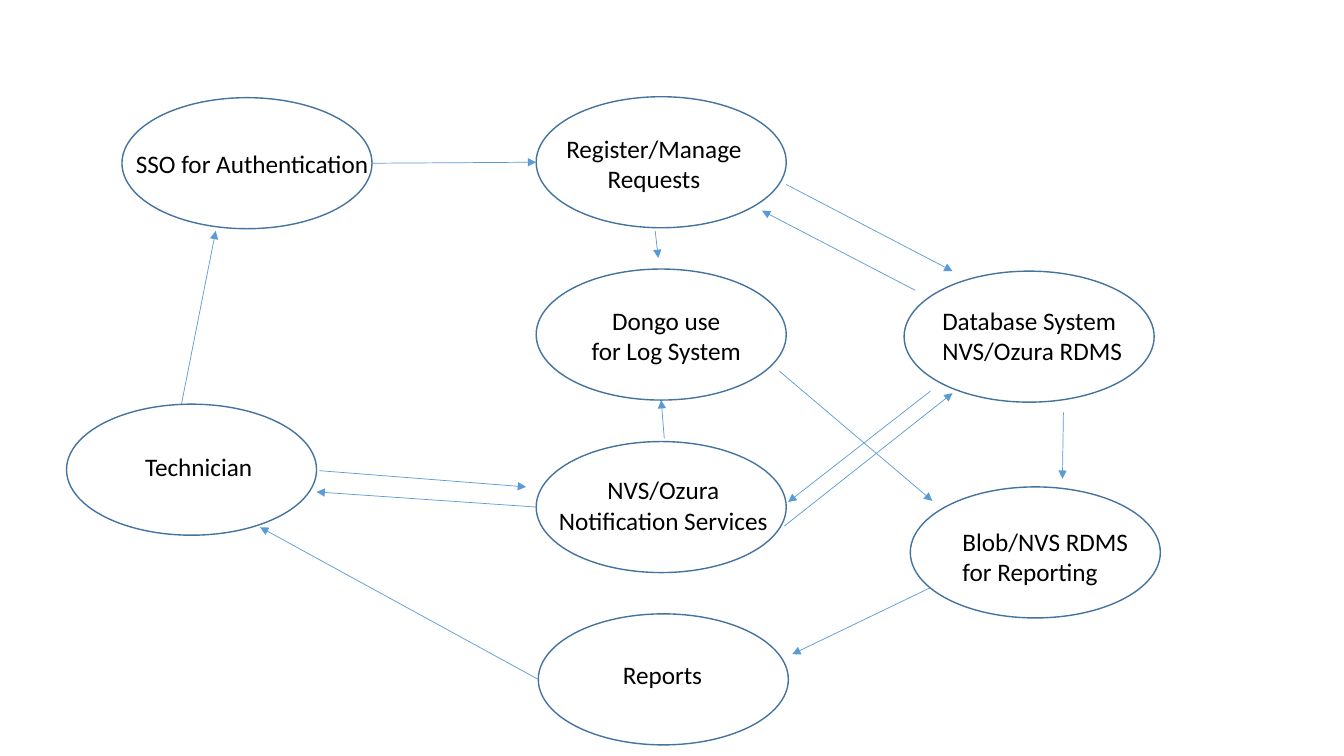
"""Builds a one-slide flow diagram of a service request system."""
from lxml import etree
from pptx import Presentation
from pptx.dml.color import RGBColor
from pptx.enum import shapes, text
from pptx.oxml.ns import qn
from pptx.util import Pt

LEFT, CENTER = text.PP_ALIGN.LEFT, text.PP_ALIGN.CENTER
OVAL_SIZE = (178.6, 93.6)
LABEL_HEIGHTS = {1: 28.8, 2: 51.1}
OVAL_LINE, ARROW_LINE, TEXT_COLOR = "43739E", "5B9BD5", "000000"

# Oval left and top, label left, top and width, then (line, alignment) pairs
STEPS = [
    ((87.1, 69.8), (90, 102.2, 182.9), [("SSO for Authentication", LEFT)]),
    ((383, 69.1), (397.4, 91.4, 145.4), [("Register/Manage", LEFT), ("Requests", CENTER)]),
    ((383, 315.4), (391, 335.5, 165.6), [("NVS/Ozura", CENTER), ("Notification Services", CENTER)]),
    ((383, 192.2), (414.7, 214.6, 122.4), [("Dongo use", CENTER), ("for Log System", CENTER)]),
    ((384.5, 438.5), (437.8, 467.3, 72), [("Reports", LEFT)]),
    ((650.2, 347.8), (680.4, 372.2, 141.8), [("Blob/NVS RDMS", LEFT), ("for Reporting", LEFT)]),
    ((645.8, 193.7), (666, 214.6, 146.9), [("Database System", LEFT), ("NVS/Ozura RDMS", LEFT)]),
    ((47.5, 288.7), (96.5, 319, 92.2), [("Technician", LEFT)]),
]

ARROWS = [
    (265.7, 116.6, 383, 115.9),
    (468, 164.9, 470.2, 184.3),
    (129.6, 288.7, 154.1, 164.9),
    (228.2, 336.2, 375.8, 347.8),
    (383, 362.2, 226.1, 351.4),
    (384.5, 485.3, 185.8, 376.6),
    (759.6, 294.5, 758.9, 342),
    (664.6, 419.8, 565.9, 467.3),
    (561.6, 131.8, 680.4, 193.7),
    (653.8, 207.4, 544.3, 150.5),
    (556.6, 265, 666, 357.8),
    (474.5, 313.2, 472.3, 285.8),
    (664.6, 279.4, 563, 358.6),
    (560.2, 375.8, 680.4, 280.8),
]


def paint(color_format, color):
    color_format.rgb = RGBColor.from_string(color)


def add_oval(slide, corner):
    shape = slide.shapes.add_shape(
        shapes.MSO_SHAPE.OVAL, *map(Pt, corner + OVAL_SIZE))
    shape.shadow.inherit = False
    shape.fill.background()
    paint(shape.line.color, OVAL_LINE)
    shape.line.width = Pt(1)


def add_label(slide, place, lines):
    height = LABEL_HEIGHTS[len(lines)]
    frame = slide.shapes.add_textbox(*map(Pt, place + (height,))).text_frame
    frame.word_wrap = False
    frame.auto_size = text.MSO_AUTO_SIZE.SHAPE_TO_FIT_TEXT
    frame.text = "\n".join(line for line, _ in lines)
    for paragraph, (_, alignment) in zip(frame.paragraphs, lines):
        paragraph.alignment = alignment
        paragraph.font.name = "Calibri"
        paragraph.font.size = Pt(18)
        paint(paragraph.font.color, TEXT_COLOR)


def add_arrow(slide, ends):
    connector = slide.shapes.add_connector(
        shapes.MSO_CONNECTOR.STRAIGHT, *map(Pt, ends))
    paint(connector.line.color, ARROW_LINE)
    connector.line.width = Pt(0.5)
    properties = connector._element.spPr
    etree.SubElement(properties.find(qn("a:ln")), qn("a:tailEnd"), type="triangle")
    etree.SubElement(properties, qn("a:effectLst"))


def main():
    presentation = Presentation()
    presentation.slide_width, presentation.slide_height = Pt(960), Pt(540)
    slide = presentation.slides.add_slide(presentation.slide_layouts[6])
    for corner, place, lines in STEPS:
        add_oval(slide, corner)
        add_label(slide, place, lines)
    for ends in ARROWS:
        add_arrow(slide, ends)
    presentation.save("out.pptx")


if __name__ == "__main__":
    main()
